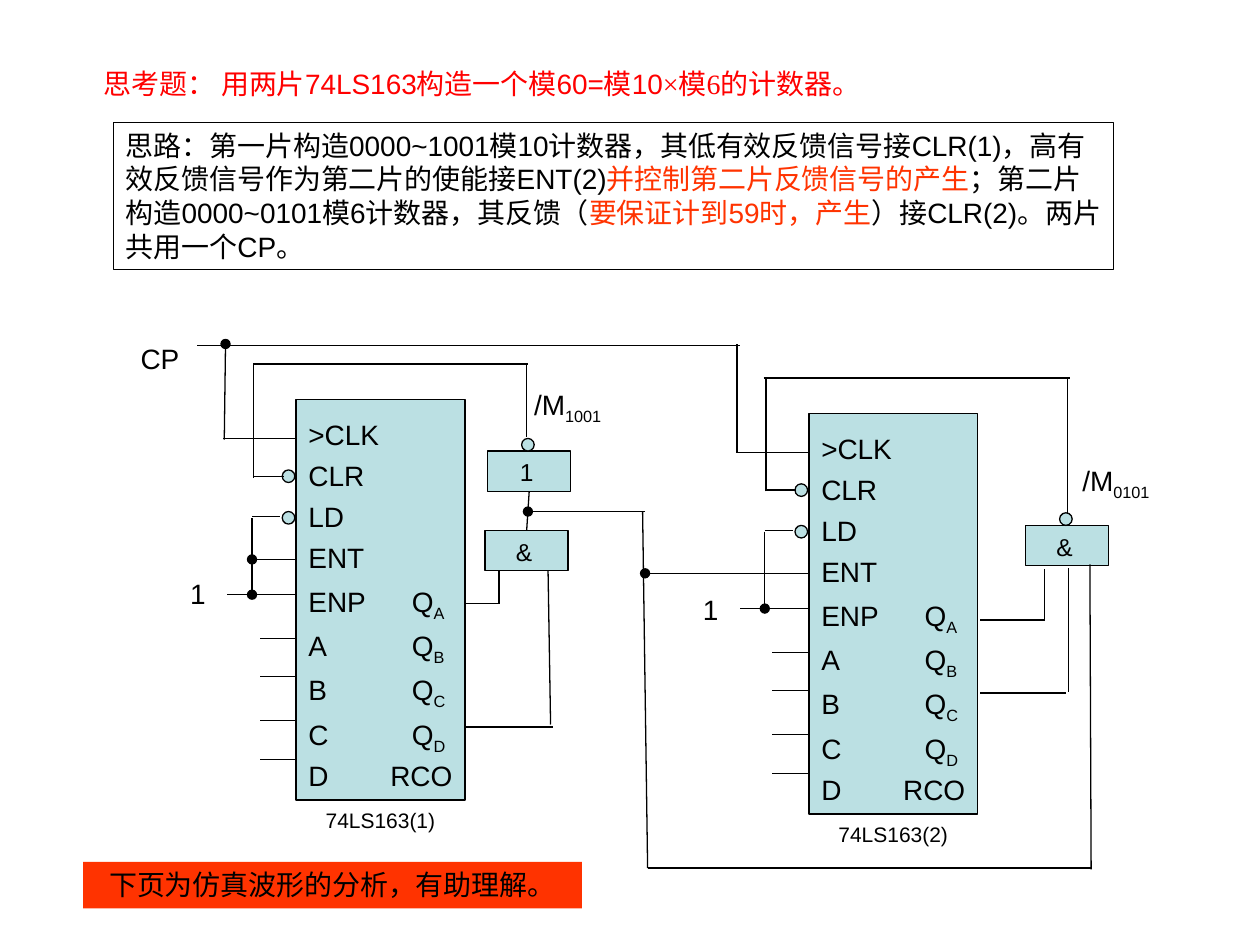
from dataclasses import dataclass
from typing import NamedTuple, Optional

from lxml import etree
from pptx import Presentation
from pptx.dml.color import RGBColor
from pptx.enum.shapes import MSO_CONNECTOR, MSO_SHAPE
from pptx.enum.text import MSO_ANCHOR, MSO_AUTO_SIZE, PP_ALIGN
from pptx.oxml.ns import qn
from pptx.util import Inches, Pt

BLACK = RGBColor(0x00, 0x00, 0x00)
RED = RGBColor(0xFF, 0x00, 0x00)
ORANGE = RGBColor(0xFF, 0x33, 0x00)
PALE_TEAL = RGBColor(0xBB, 0xE0, 0xE3)
RECTANGLE, OVAL = MSO_SHAPE.RECTANGLE, MSO_SHAPE.OVAL
STRAIGHT = MSO_CONNECTOR.STRAIGHT
LEFT, CENTER = PP_ALIGN.LEFT, PP_ALIGN.CENTER
TOP_SITE, BOTTOM_SITE = 0, 2
BUBBLE = 0.1


class Span(NamedTuple):
    text: str
    color: Optional[RGBColor] = None
    subscript: bool = False
    font: Optional[str] = None


class Wire(NamedTuple):
    x1: float
    y1: float
    x2: float
    y2: float
    dot: Optional[str] = None  # "headEnd" or "tailEnd"


class Pin(NamedTuple):
    left: str
    right: str = ""
    subscript: str = ""


class Gate(NamedTuple):
    symbol: str
    x: float
    y: float


class Label(NamedTuple):
    spans: list
    x: float
    y: float
    width: float
    height: float
    align: PP_ALIGN = CENTER
    margin: float = 0.1


@dataclass
class Chip:
    caption: str
    x: float
    y: float
    enable_x: float


PINS = [
    Pin(">CLK"), Pin("CLR"), Pin("LD"), Pin("ENT"), Pin("ENP", "Q", "A"),
    Pin("A", "Q", "B"), Pin("B", "Q", "C"), Pin("C", "Q", "D"), Pin("D", "RCO"),
]
CHIPS = [Chip("74LS163(1)", 2.35, 3.17, 2), Chip("74LS163(2)", 6.42, 3.28, 5.12)]

# Measured from the top left corner of a chip
CHIP_WIRES = [
    Wire(0, 0.31, -0.58, 0.31),
    Wire(-0.1, 0.61, -0.34, 0.61),
    Wire(-0.34, 0.62, -0.34, -0.27),
    Wire(-0.13, 0.93, -0.35, 0.93),
    Wire(-0.35, 0.94, -0.35, 1.55, "tailEnd"),
    Wire(-0.01, 1.55, -0.55, 1.55),
] + [Wire(0, y, -0.29, y) for y in (1.9, 2.2, 2.55, 2.86)]

WIRES = [
    # Clock
    Wire(5.87, 2.74, 1.56, 2.74),
    Wire(1.79, 2.73, 1.78, 3.49, "headEnd"),
    Wire(5.85, 3.59, 5.85, 2.73),
    # Feedback of the first chip
    Wire(3.69, 4.79, 3.97, 4.79),
    Wire(3.96, 4.79, 3.96, 4.53),
    Wire(3.7, 5.77, 4.39, 5.77),
    Wire(4.37, 5.75, 4.35, 4.53),
    Wire(2.01, 2.89, 4.19, 2.89),
    Wire(4.18, 2.89, 4.18, 3.47),
    # Feedback of the second chip
    Wire(7.78, 4.92, 8.29, 4.92),
    Wire(8.29, 4.52, 8.29, 4.91),
    Wire(7.78, 5.5, 8.46, 5.5),
    Wire(8.48, 4.51, 8.48, 5.49),
    Wire(6.06, 3, 8.49, 3),
    Wire(8.47, 3, 8.47, 4.07),
    # Enable from the first chip to the second
    Wire(5.12, 4.06, 4.19, 4.06, "tailEnd"),
    Wire(5.1, 4.06, 5.14, 6.89),
    Wire(5.14, 6.89, 8.66, 6.89),
    Wire(8.66, 6.9, 8.65, 4.48),
]
AND_1, AND_2, INVERTER = Gate("&", 3.85, 4.21), Gate("&", 8.14, 4.17), Gate("1", 3.87, 3.58)
GATE_BUBBLES = [(4.14, 3.48), (8.41, 4.07)]

LABELS = [
    Label([Span("CP")], 0.94, 2.66, 0.66, 0.37),
    Label([Span("1")], 1.35, 4.53, 0.44, 0.37),
    Label([Span("1")], 5.42, 4.65, 0.44, 0.37),
    Label([Span("/M"), Span("1001", subscript=True)], 4.24, 3.03, 0.6, 0.41, LEFT, 0),
    Label([Span("/M"), Span("0101", subscript=True)], 8.59, 3.63, 0.6, 0.41, LEFT, 0),
]
TITLE = [
    Span("思考题： 用两片74LS163构造一个模60=模10", font="Arial"),
    Span("×模6的计数器。", font="Times New Roman"),
]
IDEA = [
    Span("思路：第一片构造0000~1001模10计数器，其低有效反馈信号接CLR(1)，"
         "高有效反馈信号作为第二片的使能接ENT(2)", BLACK),
    Span("并控制第二片反馈信号的产生", ORANGE),
    Span("；第二片构造0000~0101模6计数器，其反馈（", BLACK),
    Span("要保证计到59时，产生", ORANGE),
    Span("）接CLR(2)。两片共用一个CP。", BLACK),
]


def write_spans(para, spans, size=16, color: Optional[RGBColor] = BLACK,
                font: Optional[str] = "Arial", align=LEFT) -> None:
    """Fill a paragraph; pass None for a colour or font that the spans carry."""
    para.alignment = align
    para.font.size = Pt(size)
    if font:
        para.font.name = font
    if color is not None:
        para.font.color.rgb = color
    for span in spans:
        run = para.add_run()
        run.text = span.text
        if span.color is not None:
            run.font.color.rgb = span.color
        if span.font:
            run.font.name = span.font
        if span.subscript:
            run._r.get_or_add_rPr().set("baseline", "-25000")


def set_frame(frame, margin: float = 0.1) -> None:
    frame.word_wrap = True
    frame.auto_size = MSO_AUTO_SIZE.NONE
    frame.vertical_anchor = MSO_ANCHOR.TOP
    frame.margin_left = frame.margin_right = Inches(margin)
    frame.margin_top = frame.margin_bottom = Inches(0.05)


def add_box(slide, kind, x, y, width, height, fill=PALE_TEAL, outlined=True):
    box = slide.shapes.add_shape(kind, Inches(x), Inches(y), Inches(width), Inches(height))
    box.shadow.inherit = False
    if fill is None:
        box.fill.background()
    else:
        box.fill.solid()
        box.fill.fore_color.rgb = fill
    if outlined:
        box.line.color.rgb = BLACK
        box.line.width = Pt(0.75)
    else:
        box.line.fill.background()
    set_frame(box.text_frame)
    return box


def add_text_frame(slide, x, y, width, height, margin=0.1):
    box = slide.shapes.add_textbox(Inches(x), Inches(y), Inches(width), Inches(height))
    set_frame(box.text_frame, margin)
    return box.text_frame


def add_label(slide, label: Label, size=16) -> None:
    frame = add_text_frame(slide, label.x, label.y, label.width, label.height, label.margin)
    write_spans(frame.paragraphs[0], label.spans, size, align=label.align)


def add_wire(slide, wire: Wire, dx=0.0, dy=0.0):
    line = slide.shapes.add_connector(STRAIGHT, Inches(wire.x1 + dx), Inches(wire.y1 + dy),
                                      Inches(wire.x2 + dx), Inches(wire.y2 + dy))
    line.line.color.rgb = BLACK
    line.line.width = Pt(0.75)
    if wire.dot:
        etree.SubElement(line.line._get_or_add_ln(), qn("a:" + wire.dot), type="oval")
    etree.SubElement(line._element.spPr, qn("a:effectLst"))
    return line


def add_pins(slide, x: float, y: float) -> None:
    frame = add_text_frame(slide, x, y, 1.37, 3)
    for index, pin in enumerate(PINS):
        para = frame.add_paragraph() if index else frame.paragraphs[0]
        spans = [Span(pin.left)]
        if pin.right:
            tabs = etree.SubElement(para._p.get_or_add_pPr(), qn("a:tabLst"))
            position = Inches(0.82 if pin.subscript else 0.65)
            etree.SubElement(tabs, qn("a:tab"), pos=str(position), algn="l")
            spans.append(Span("\t" + pin.right))
        if pin.subscript:
            spans.append(Span(pin.subscript, subscript=True))
        para.line_spacing = 0.7
        para.space_before = Pt(10 if index else 0)
        write_spans(para, spans)


def add_chip(slide, chip: Chip) -> None:
    add_box(slide, RECTANGLE, chip.x, chip.y, 1.34, 3.18)
    add_label(slide, Label([Span(chip.caption)], chip.x, chip.y + 3.19, 1.34, 0.3), 12)
    add_pins(slide, chip.x, chip.y + 0.17)
    for bubble_y in (0.56, 0.89):
        add_box(slide, OVAL, chip.x - 0.11, chip.y + bubble_y, BUBBLE, BUBBLE)
    for wire in CHIP_WIRES:
        add_wire(slide, wire, chip.x, chip.y)
    enable_y = chip.y + 1.27
    add_wire(slide, Wire(chip.x - 0.01, enable_y, chip.enable_x, enable_y, "tailEnd"))


def add_gate(slide, gate: Gate):
    box = add_box(slide, RECTANGLE, gate.x, gate.y, 0.66, 0.32)
    add_label(slide, Label([Span(gate.symbol)], gate.x + 0.11, gate.y, 0.4, 0.34), 14)
    return box


def main() -> None:
    deck = Presentation()
    deck.slide_width, deck.slide_height = Inches(10), Inches(7.5)
    slide = deck.slides.add_slide(deck.slide_layouts[5])

    title = slide.shapes.title
    title.left, title.top = Inches(0.72), Inches(0.48)
    title.width, title.height = Inches(7.11), Inches(0.37)
    set_frame(title.text_frame)
    write_spans(title.text_frame.paragraphs[0], TITLE, color=RED, font=None)

    idea = add_box(slide, RECTANGLE, 0.9, 0.97, 7.94, 1.17, fill=None)
    write_spans(idea.text_frame.paragraphs[0], IDEA, color=None)

    for chip in CHIPS:
        add_chip(slide, chip)
    and_1, _, inverter = [add_gate(slide, gate) for gate in (AND_1, AND_2, INVERTER)]
    for x, y in GATE_BUBBLES:
        add_box(slide, OVAL, x, y, BUBBLE, BUBBLE)
    for wire in WIRES:
        add_wire(slide, wire)
    link = add_wire(slide, Wire(4.18, 4.21, 4.18, 3.9))
    link.begin_connect(and_1, TOP_SITE)
    link.end_connect(inverter, BOTTOM_SITE)
    for label in LABELS:
        add_label(slide, label)

    note = add_box(slide, RECTANGLE, 0.66, 6.84, 3.96, 0.37, fill=ORANGE, outlined=False)
    write_spans(note.text_frame.paragraphs[0], [Span("下页为仿真波形的分析，有助理解。")], align=CENTER)
    deck.save("out.pptx")


if __name__ == "__main__":
    main()
